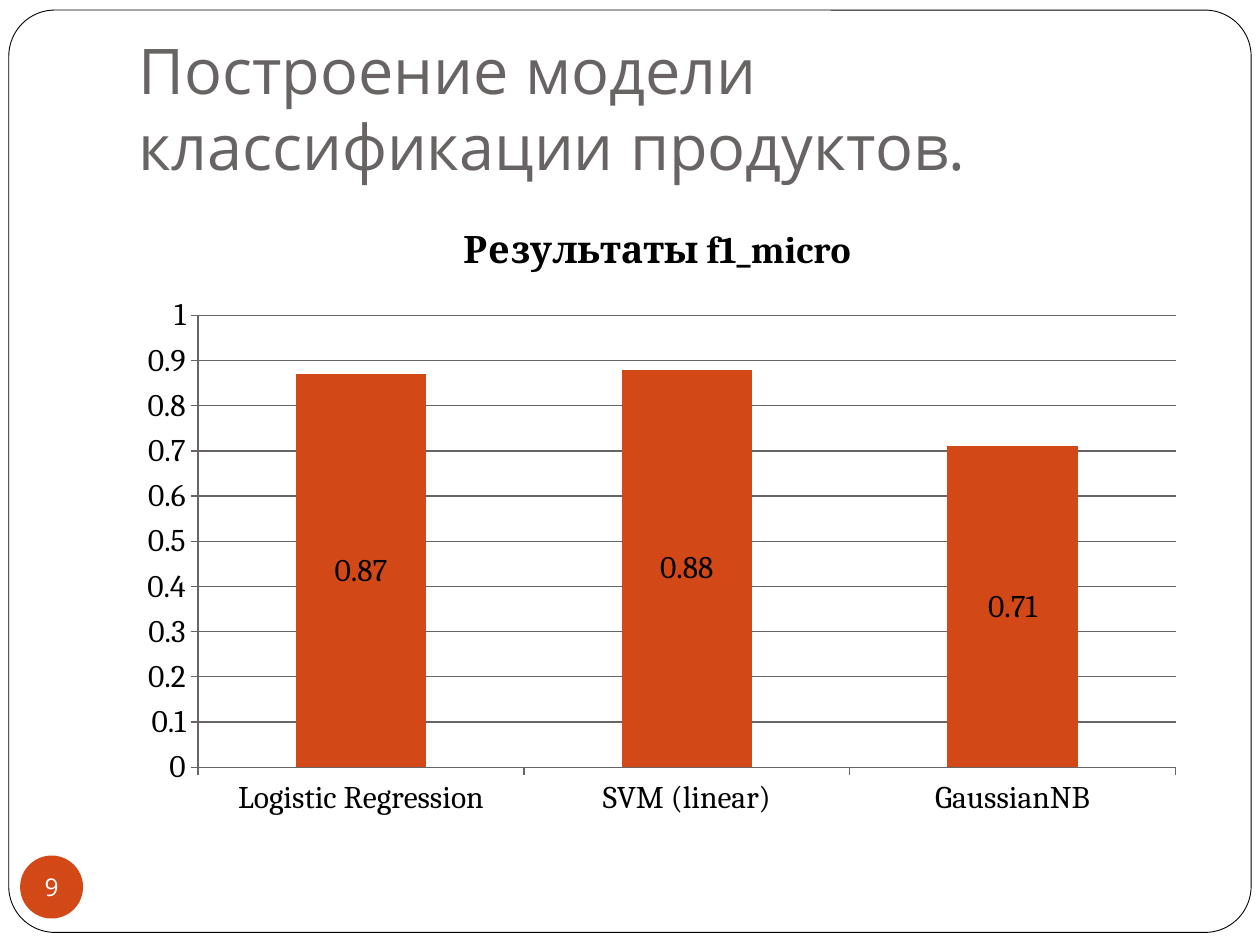
"""Build a slide with a column chart of classifier scores."""
from pptx import Presentation
from pptx.chart.data import CategoryChartData
from pptx.dml.color import RGBColor
from pptx.enum.chart import XL_CHART_TYPE, XL_LABEL_POSITION, XL_TICK_MARK
from pptx.enum.shapes import MSO_SHAPE
from pptx.enum.text import MSO_ANCHOR, MSO_AUTO_SIZE, PP_ALIGN
from pptx.util import Pt

COLUMN = XL_CHART_TYPE.COLUMN_CLUSTERED
CENTER_LABEL = XL_LABEL_POSITION.CENTER
OUTSIDE, NO_TICK = XL_TICK_MARK.OUTSIDE, XL_TICK_MARK.NONE
MIDDLE, BOTTOM = MSO_ANCHOR.MIDDLE, MSO_ANCHOR.BOTTOM
LEFT, CENTER = PP_ALIGN.LEFT, PP_ALIGN.CENTER

TITLE = "Построение модели классификации продуктов."
CHART_TITLE = "Результаты f1_micro "
SCORES = {"Logistic Regression": 0.87, "SVM (linear)": 0.88, "GaussianNB": 0.71}
PAGE = "9"
COLORS = {"white": "FFFFFF", "black": "000000", "title": "696464",
          "accent": "D34817", "grid": "696464"}
BOXES = {"frame": (5.04, 5.76, 709.92, 527.04), "title": (72, 21.6, 612, 90),
         "chart": (72, 113.76, 612, 360), "badge": (11.52, 488.88, 36, 36)}


def rgb(name):
    return RGBColor.from_string(COLORS[name])


def box(name):
    return [Pt(v) for v in BOXES[name]]


def set_all(obj, values):
    for name, value in values.items():
        setattr(obj, name, value)


def set_font(font, face, size, color, bold=False):
    set_all(font, {"name": face, "size": Pt(size), "bold": bold})
    font.color.rgb = rgb(color)


def set_line(line, color, width):
    line.color.rgb = rgb(color)
    line.width = Pt(width)


def add_shape(s, kind, name, fill):
    sp = s.shapes.add_shape(kind, *box(name))
    sp.shadow.inherit = False
    sp.fill.solid()
    sp.fill.fore_color.rgb = rgb(fill)
    sp.line.fill.background()
    return sp


def write(sp, text, size, color, align, anchor, margins, wrap):
    tf = sp.text_frame
    tf.text = text
    sides = ("margin_left", "margin_top", "margin_right", "margin_bottom")
    set_all(tf, dict(zip(sides, map(Pt, margins))))
    set_all(tf, {"word_wrap": wrap, "vertical_anchor": anchor,
                 "auto_size": MSO_AUTO_SIZE.NONE})
    p = tf.paragraphs[0]
    p.alignment = align
    set_font(p.runs[0].font, "Open Sans", size, color)


def add_scores(s):
    data = CategoryChartData()
    data.categories = list(SCORES)
    data.add_series("Series 1", list(SCORES.values()))
    chart = s.shapes.add_chart(COLUMN, *box("chart"), data).chart
    set_font(chart.font, "Cambria", 18, "black")
    chart.has_legend = False
    chart.has_title = True
    tf = chart.chart_title.text_frame
    tf.text = CHART_TITLE
    set_font(tf.paragraphs[0].runs[0].font, "Cambria", 21.6, "black", True)
    chart.chart_title.include_in_layout = False

    plot = chart.plots[0]
    set_all(plot, {"gap_width": 150, "vary_by_categories": False,
                   "has_data_labels": True})
    set_all(plot.data_labels, {"show_value": True, "position": CENTER_LABEL})
    set_font(plot.data_labels.font, "Cambria", 18, "black")
    fill = plot.series[0].format.fill
    fill.solid()
    fill.fore_color.rgb = rgb("accent")

    for axis in (chart.category_axis, chart.value_axis):
        set_all(axis, {"major_tick_mark": OUTSIDE, "minor_tick_mark": NO_TICK})
        set_line(axis.format.line, "grid", 0.75)
    set_all(chart.value_axis, {"minimum_scale": 0, "maximum_scale": 1,
                               "major_unit": 0.1, "has_major_gridlines": True})
    set_line(chart.value_axis.major_gridlines.format.line, "grid", 0.75)


prs = Presentation()
prs.slide_width, prs.slide_height = Pt(720), Pt(540)
s = prs.slides.add_slide(prs.slide_layouts[5])

frame = add_shape(s, MSO_SHAPE.ROUNDED_RECTANGLE, "frame", "white")
frame.adjustments[0] = 0.05
set_line(frame.line, "black", 0.5)

title = s.shapes.title
set_all(title, dict(zip(("left", "top", "width", "height"), box("title"))))
write(title, TITLE, 36, "title", LEFT, BOTTOM, (7.2, 3.6, 7.2, 7.2), True)
s.shapes._spTree.append(title._element)

add_scores(s)
badge = add_shape(s, MSO_SHAPE.OVAL, "badge", "accent")
write(badge, PAGE, 14, "white", CENTER, MIDDLE, (0, 0, 0, 0), False)

prs.save("out.pptx")
